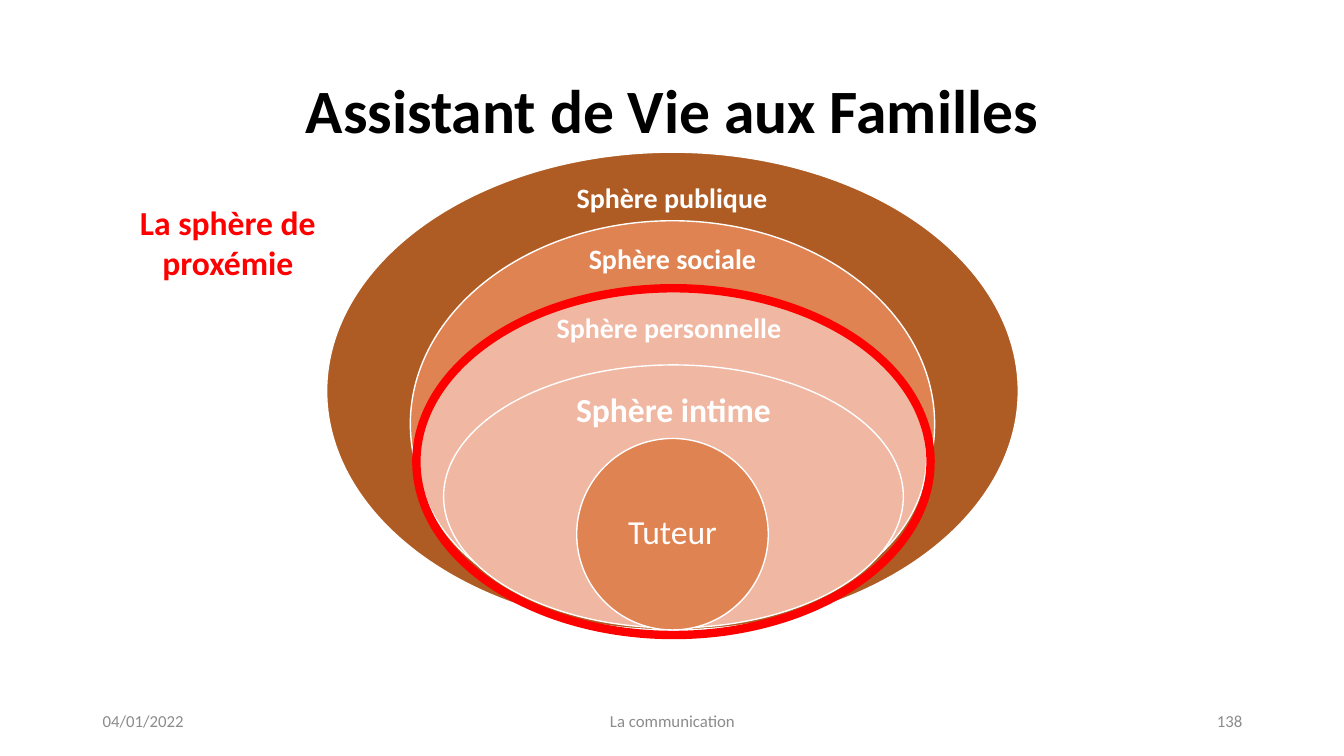
from dataclasses import dataclass

from pptx import Presentation
from pptx.dml.color import RGBColor
from pptx.enum.shapes import MSO_SHAPE
from pptx.enum.text import MSO_ANCHOR, PP_ALIGN
from pptx.util import Emu, Pt

PX = 9144


@dataclass(frozen=True)
class Theme:
    """Colours, font and type sizes of the slide."""
    font: str = "Calibri"
    black: str = "000000"
    white: str = "FFFFFF"
    grey: str = "8C8C8C"
    red: str = "FF0000"
    brown: str = "AF5C24"
    orange: str = "DF8353"
    peach: str = "F0B7A2"
    title: int = 44
    large: int = 24
    label: int = 20
    footer: int = 12


T = Theme()

SPHERES = [
    ((324, 151, 686, 474), T.brown),
    ((407, 219, 520, 403), T.orange),
    ((415, 288, 504, 332), T.peach),
    ((440, 362, 456, 261), T.peach),
    ((572, 435, 190, 190), T.orange),
]
LABELS = [
    ("Sphère publique", (538, 174, 257, 47), T.label, True),
    ("Sphère sociale", (555, 235, 224, 46), T.label, True),
    ("Sphère personnelle", (533, 304, 261, 46), T.label, True),
    ("Sphère intime", (545, 385, 246, 47), T.large, True),
    ("Tuteur", (600, 482, 134, 95), T.large, False),
]
FOOTERS = [
    ("04/01/2022", (92, 695, 300, 40), PP_ALIGN.LEFT),
    ("La communication", (442, 695, 450, 40), PP_ALIGN.CENTER),
    ("138", (942, 695, 300, 40), PP_ALIGN.RIGHT),
]


def emu(box):
    """Turn px lengths into EMU."""
    return [Emu(v * PX) for v in box]


def write(sp, text, size, color, bold=False, align=PP_ALIGN.CENTER, spacing=None):
    """Put one formatted paragraph into a shape, centred vertically."""
    tf = sp.text_frame
    tf.word_wrap = True
    tf.vertical_anchor = MSO_ANCHOR.MIDDLE
    tf.text = text
    p = tf.paragraphs[0]
    p.alignment = align
    p.line_spacing = spacing
    p.font.name = T.font
    p.font.size = Pt(size)
    p.font.bold = bold
    p.font.color.rgb = RGBColor.from_string(color)


def add_title(s, text, box):
    """Place and format the title placeholder."""
    sp = s.shapes.title
    sp.left, sp.top, sp.width, sp.height = emu(box)
    write(sp, text, T.title, T.black, True, spacing=0.9)


def add_text(s, text, box, *style, **options):
    """Add a text box."""
    write(s.shapes.add_textbox(*emu(box)), text, *style, **options)


def add_round(s, kind, box, fill, line, width):
    """Add a round shape, hollow when no fill is given."""
    sp = s.shapes.add_shape(kind, *emu(box))
    sp.shadow.inherit = False
    if fill:
        sp.fill.solid()
        sp.fill.fore_color.rgb = RGBColor.from_string(fill)
    else:
        sp.fill.background()
    sp.line.color.rgb = RGBColor.from_string(line)
    sp.line.width = Pt(width)


def main():
    """Build the slide and save it."""
    prs = Presentation()
    prs.slide_width, prs.slide_height = emu((1333, 750))
    s = prs.slides.add_slide(prs.slide_layouts[5])
    add_title(s, "Assistant de Vie aux Familles", (92, 40, 1150, 145))
    for text, box, align in FOOTERS:
        add_text(s, text, box, T.footer, T.grey, align=align)
    for (box, fill), (text, label_box, size, bold) in zip(SPHERES, LABELS):
        add_round(s, MSO_SHAPE.OVAL, box, fill, T.white, 1)
        add_text(s, text, label_box, size, T.white, bold, spacing=0.9)
    add_round(s, MSO_SHAPE.FLOWCHART_CONNECTOR, (413, 286, 510, 344), None, T.red, 6)
    add_text(s, "La sphère de proxémie", (116, 195, 220, 90), T.large, T.red, True)
    prs.save("out.pptx")


if __name__ == "__main__":
    main()
